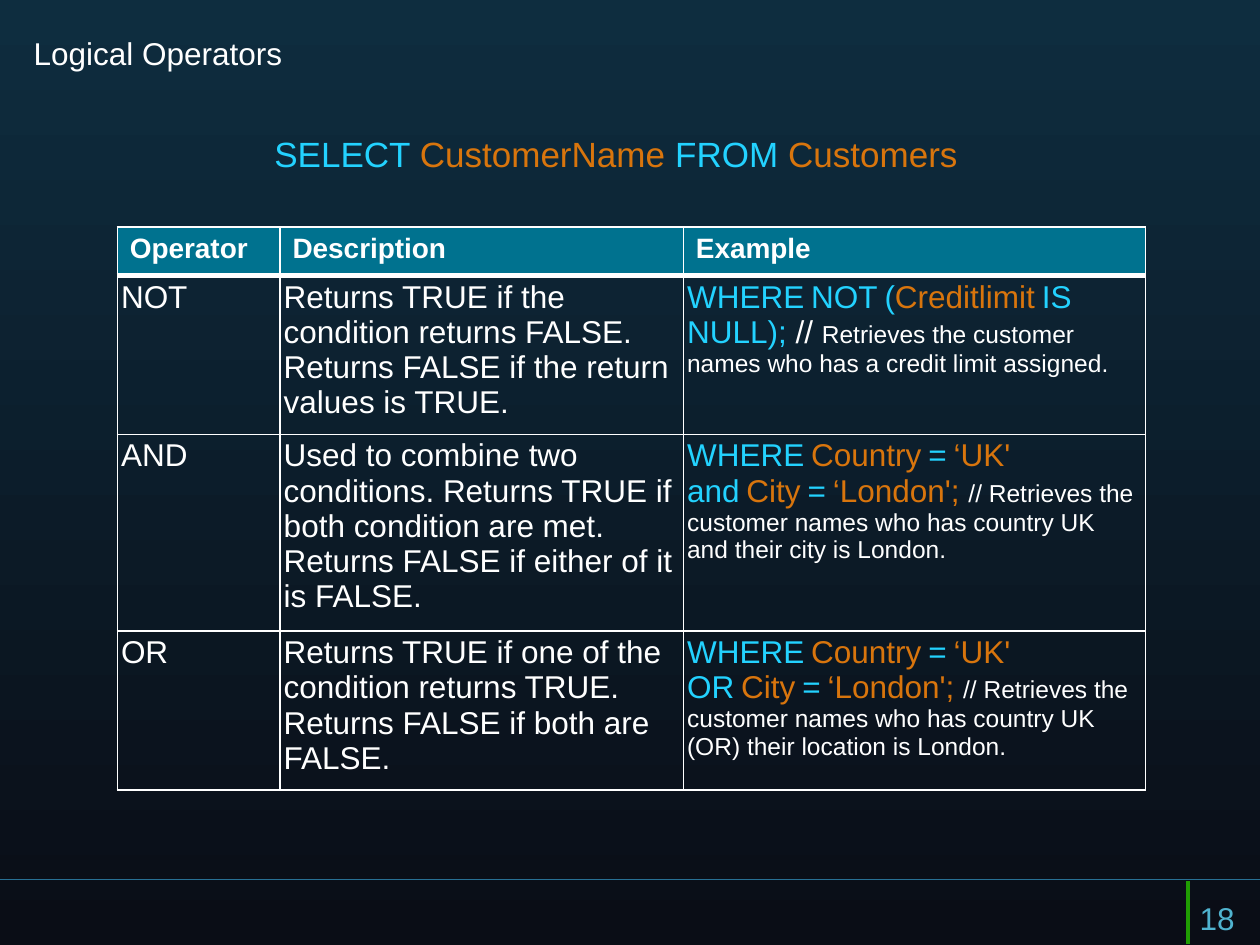
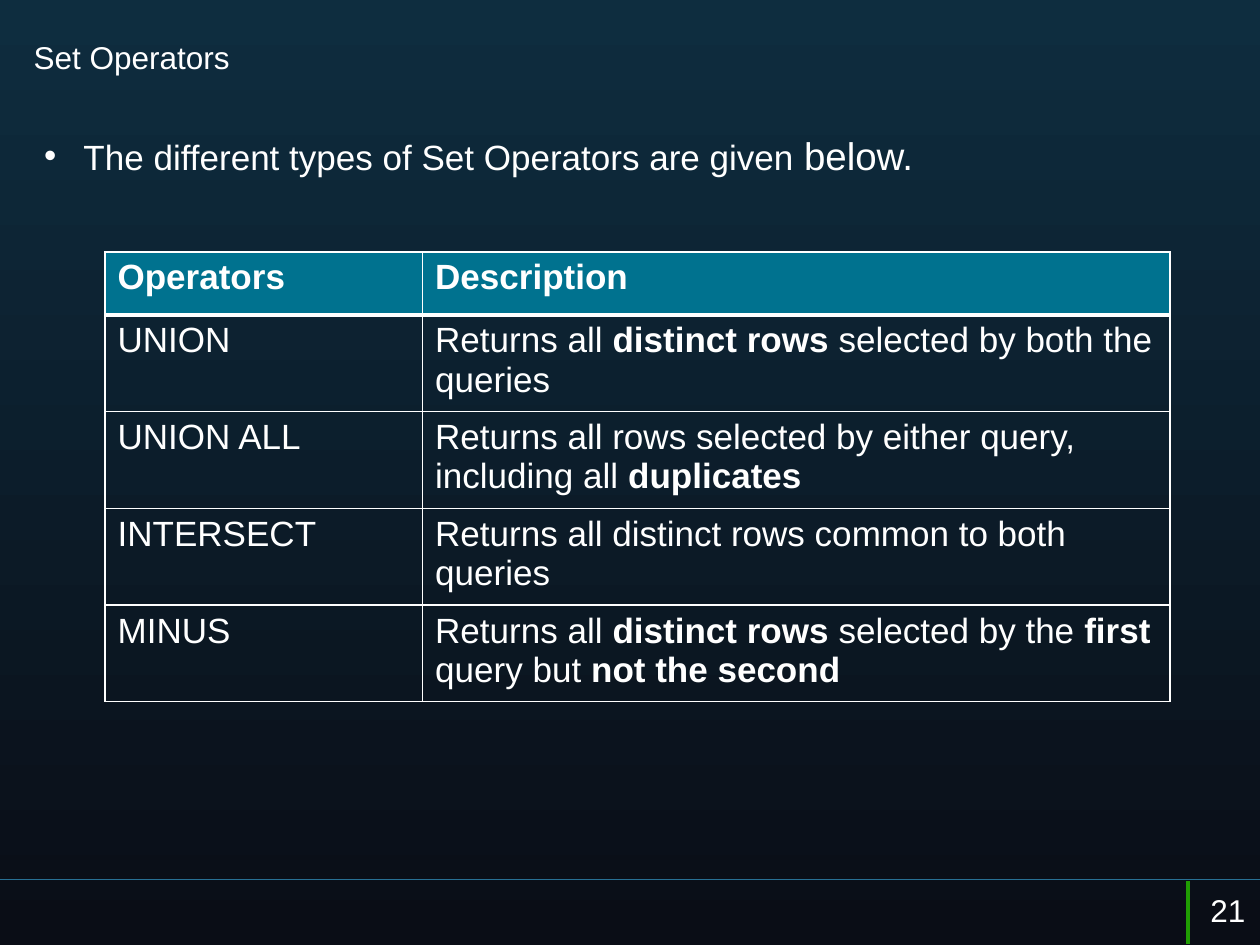
from lxml import etree
from pptx import Presentation
from pptx.dml.color import RGBColor
from pptx.enum import text as t
from pptx.oxml import ns
from pptx.util import Pt

# ---------- Theme ----------
THEME = {
    "font": "Arial",
    "background": ("0E2D3F", "0A0D16"),
    "header": "00728F",
    "border": "FFFFFF",
    "rule": "287094",
    "marker": "209D03",
    # role: (size, colour, bold)
    "roles": {
        "text": (18, "FFFFFF", False),
        "keyword": (18, "23D2FF", False),
        "field": (18, "D8750D", False),
        "note": (14, "FFFFFF", False),
        "head": (16, "FFFFFF", True),
        "lead": (20, "FFFFFF", False),
        "strong": (20, "FFFFFF", True),
        "lead_keyword": (20, "23D2FF", False),
        "lead_field": (20, "D8750D", False),
        "large": (22, "FFFFFF", False),
        "page": (18, "50B3CF", False),
    },
}


def spaced(*runs):
    """Join code runs with small spaces."""
    joined = [runs[0]]
    for run in runs[1:]:
        joined += [("note", " "), run]
    return joined


def filter_example(joiner, note):
    """Two lines: a country test, then a city test with its explanation."""
    equals = ("keyword", "=")
    return [
        spaced(("keyword", "WHERE"), ("field", "Country"), equals, ("field", "‘UK' ")),
        spaced(("keyword", joiner), ("field", "City"), equals, ("field", "‘London'; "))
        + [("note", note)],
    ]


# ---------- Content: a cell is a string or a list of paragraphs of runs ----------
NOT_EXAMPLE = [
    spaced(("keyword", "WHERE"), ("keyword", "NOT"), ("keyword", "("))
    + [("field", "Creditlimit"), ("note", " "), ("keyword", "IS NULL); "), ("text", "// "),
       ("note", "Retrieves the customer names who has a credit limit assigned.")]
]
SLIDES = [
    {
        "title": "Logical Operators",
        "title_anchor": t.MSO_ANCHOR.MIDDLE,
        "body": [("lead_keyword", "SELECT "), ("lead_field", "CustomerName "),
                 ("lead_keyword", "FROM "), ("lead_field", "Customers")],
        "body_box": (28, 72, 648, 30),
        "bullet": False,
        "page": ("page", "18", (678.5, 510, 58, 18)),
        "table": {
            "origin": (67, 129.6), "columns": (93, 230.5, 264), "rows": (28, 85, 105, 85),
            "head": "head", "text": "text", "margin": 2.16,
            "cells": [
                ("Operator", "Description", "Example"),
                ("NOT ", "Returns TRUE if the condition returns FALSE. "
                 "Returns FALSE if the return values is TRUE. ", NOT_EXAMPLE),
                ("AND ", "Used to combine two conditions. Returns TRUE if both condition "
                 "are met. Returns FALSE if either of it is FALSE. ",
                 filter_example("and", "// Retrieves the customer names who has country UK "
                                "and their city is London.")),
                ("OR ", "Returns TRUE if one of the condition returns TRUE. "
                 "Returns FALSE if both are FALSE.",
                 filter_example("OR", "// Retrieves the customer names who has country UK "
                                "(OR) their location is London.")),
            ],
        },
    },
    {
        "title": "Set Operators ",
        "title_anchor": t.MSO_ANCHOR.TOP,
        "body": [("lead", "The different types of Set Operators are given "),
                 ("large", "below.")],
        "body_box": (18, 72, 648, 386.5),
        "bullet": True,
        "page": ("text", "21", (684.5, 505.5, 34.5, 29)),
        "table": {
            "origin": (60, 144), "columns": (181.5, 427), "rows": (36, 52, 52, 52, 52),
            "head": "strong", "text": "lead", "margin": None,
            "cells": [
                ("Operators", "Description"),
                ("UNION ", [[("lead", "Returns all "), ("strong", "distinct rows "),
                             ("lead", "selected by both the queries ")]]),
                ("UNION ALL", [[("lead", "Returns all rows selected by either query, "
                                 "including all "), ("strong", "duplicates")]]),
                ("INTERSECT ", "Returns all distinct rows common to both queries"),
                ("MINUS ", [[("lead", "Returns all "), ("strong", "distinct rows "),
                             ("lead", "selected by the "), ("strong", "first"),
                             ("lead", " query but "), ("strong", "not the second")]]),
            ],
        },
    },
]
TITLE_BOX = (12, 18, 708, 24)
# start, end, colour, width
FOOTER_LINES = [
    ((720, 502.5), (0, 502.5), THEME["rule"], 0.75),
    ((679, 503.5), (679, 539.5), THEME["marker"], 2),
]


# ---------- Helpers ----------
def rgb(value):
    return RGBColor.from_string(value)


def place(shape, box):
    for side, value in zip(("left", "top", "width", "height"), box):
        setattr(shape, side, Pt(value))


def write(paragraph, runs):
    for role, words in runs:
        size, colour, bold = THEME["roles"][role]
        run = paragraph.add_run()
        run.text = words
        formats = {"name": THEME["font"], "size": Pt(size), "bold": bold}
        for key, value in formats.items():
            setattr(run.font, key, value)
        run.font.color.rgb = rgb(colour)


def set_bullet(paragraph, shown):
    properties = paragraph._p.get_or_add_pPr()
    indent = Pt(22.5) if shown else 0
    properties.set("marL", str(indent))
    properties.set("indent", str(-indent))
    if shown:
        etree.SubElement(properties, ns.qn("a:buChar")).set("char", "•")
    else:
        etree.SubElement(properties, ns.qn("a:buNone"))


def set_borders(cell, widths):
    properties = cell._tc.get_or_add_tcPr()
    for side, width in widths.items():
        line = etree.SubElement(properties, ns.qn("a:ln" + side))
        line.set("w", str(Pt(width)))
        fill = etree.SubElement(line, ns.qn("a:solidFill"))
        etree.SubElement(fill, ns.qn("a:srgbClr")).set("val", THEME["border"])


def add_footer(slide, page):
    for start, end, colour, width in FOOTER_LINES:
        rule = slide.shapes.add_connector(1, *map(Pt, start + end))
        rule.line.color.rgb = rgb(colour)
        rule.line.width = Pt(width)
        etree.SubElement(rule._element.spPr, ns.qn("a:effectLst"))
    role, number, box = page
    page_box = slide.shapes.add_textbox(*map(Pt, box))
    page_box.text_frame.word_wrap = False
    write(page_box.text_frame.paragraphs[0], [(role, number)])


def add_operator_table(slide, plan):
    columns, rows = plan["columns"], plan["rows"]
    box = (*plan["origin"], sum(columns), sum(rows))
    grid = slide.shapes.add_table(len(rows), len(columns), *map(Pt, box)).table
    grid.first_row = grid.horz_banding = False
    for column, width in zip(grid.columns, columns):
        column.width = Pt(width)
    for row, height in zip(grid.rows, rows):
        row.height = Pt(height)
    for r, values in enumerate(plan["cells"]):
        for c, value in enumerate(values):
            cell, is_head = grid.cell(r, c), r == 0
            set_borders(cell, {"L": 1, "R": 1, "T": 3 if r == 1 else 1,
                               "B": 3 if is_head else 1})
            if is_head:
                cell.fill.solid()
                cell.fill.fore_color.rgb = rgb(THEME["header"])
            else:
                cell.fill.background()
            if plan["margin"] and not is_head:
                for side in ("left", "right", "top", "bottom"):
                    setattr(cell, "margin_" + side, Pt(plan["margin"]))
            if isinstance(value, str):
                value = [[(plan["head" if is_head else "text"], value)]]
            frame = cell.text_frame
            for i, runs in enumerate(value):
                write(frame.add_paragraph() if i else frame.paragraphs[0], runs)


# ---------- Build ----------
deck = Presentation()
deck.slide_width, deck.slide_height = Pt(720), Pt(540)

# Shared gradient background, dark towards the bottom
backdrop = deck.slide_master.background.fill
backdrop.gradient()
backdrop.gradient_angle = 270
for stop, colour in zip(backdrop.gradient_stops, THEME["background"]):
    stop.color.rgb = rgb(colour)

for content in SLIDES:
    slide = deck.slides.add_slide(deck.slide_layouts[1])
    add_footer(slide, content["page"])

    # Title
    title = slide.shapes.title
    place(title, TITLE_BOX)
    title.text_frame.vertical_anchor = content["title_anchor"]
    title.text_frame.auto_size = t.MSO_AUTO_SIZE.NONE
    heading = title.text_frame.paragraphs[0]
    heading.alignment = t.PP_ALIGN.LEFT
    write(heading, [("text", content["title"])])

    # Lead line
    body = slide.placeholders[1]
    place(body, content["body_box"])
    body.text_frame.auto_size = t.MSO_AUTO_SIZE.NONE
    lead = body.text_frame.paragraphs[0]
    lead.alignment = t.PP_ALIGN.LEFT if content["bullet"] else t.PP_ALIGN.CENTER
    lead.space_before = Pt(4)
    set_bullet(lead, content["bullet"])
    write(lead, content["body"])

    add_operator_table(slide, content["table"])

deck.save("out.pptx")
